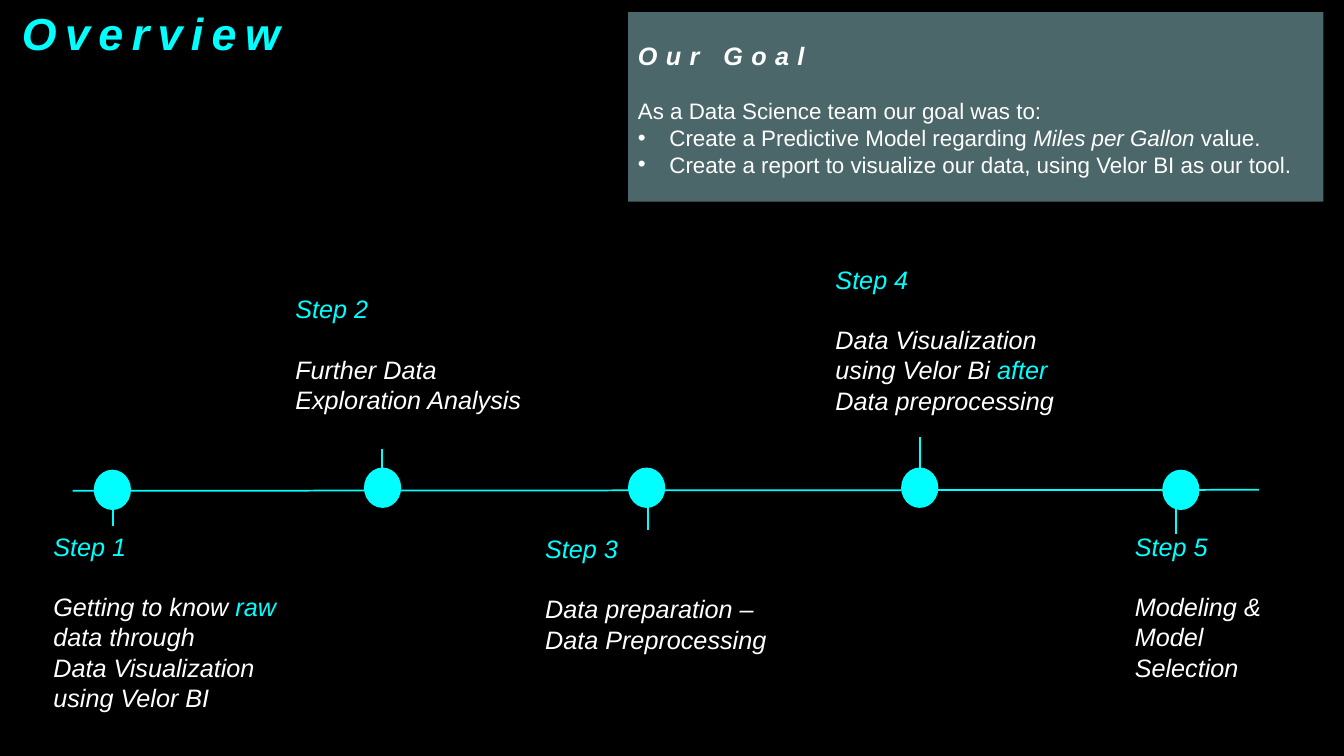
from dataclasses import dataclass

from lxml.etree import SubElement
from pptx import Presentation
from pptx.dml.color import RGBColor
from pptx.enum.shapes import MSO_CONNECTOR, MSO_SHAPE
from pptx.oxml.ns import qn
from pptx.util import Pt

FONT = "Arial"
COLORS = {"back": "000000", "cyan": "00FFFF", "white": "FFFFFF", "panel": "9BD3D9"}
DOT_W, DOT_H, STEM = 26.6, 28.8, 36


@dataclass
class Step:
    """One stop on the timeline; body words between asterisks are cyan."""
    body: list[str]
    box: tuple[float, float, float, float]
    dot: tuple[float, float]
    stem: tuple[float, float]


STEPS = [
    Step(["Getting to know *raw* data through", "Data Visualization using Velor BI"],
         (31, 375.8, 195, 138.2), (67, 335.5), (80.6, 340)),
    Step(["Further Data Exploration Analysis"],
         (203.8, 206, 178.6, 111.6), (260, 334), (272.9, 320.4)),
    Step(["Data preparation – Data Preprocessing"],
         (382.3, 377.3, 195, 94.3), (448.6, 334), (463, 342.7)),
    Step(["Data Visualization using Velor Bi *after* Data preprocessing"],
         (589.7, 185, 195, 116.6), (643.7, 334), (657.4, 312.5)),
    Step(["Modeling & Model Selection"],
         (803.5, 375.8, 114.5, 116.6), (830.2, 335.5), (840.2, 345.6)),
]
GOALS = [
    "Create a Predictive Model regarding *Miles per Gallon* value.",
    "Create a report to visualize our data, using Velor BI as our tool.",
]


def color(name: str) -> RGBColor:
    return RGBColor.from_string(COLORS[name])


def add_line(slide, x1: float, y1: float, x2: float, y2: float) -> None:
    line = slide.shapes.add_connector(
        MSO_CONNECTOR.STRAIGHT, Pt(x1), Pt(y1), Pt(x2), Pt(y2))
    line.line.color.rgb = color("cyan")
    line.line.width = Pt(1.25)
    SubElement(line._element.spPr, qn("a:effectLst"))


def add_solid(slide, kind: MSO_SHAPE, box: tuple, fill: str):
    shape = slide.shapes.add_shape(kind, *map(Pt, box))
    shape.shadow.inherit = False
    shape.fill.solid()
    shape.fill.fore_color.rgb = color(fill)
    shape.line.fill.background()
    return shape


def add_frame(slide, box: tuple):
    frame = slide.shapes.add_textbox(*map(Pt, box)).text_frame
    frame.word_wrap = True
    return frame


def style(run, size: float, name: str, bold: bool = False,
          italic: bool = False, gap: int = 0) -> None:
    """Format a run; gap is the letter spacing in points."""
    font = run.font
    font.name, font.size = FONT, Pt(size)
    font.bold, font.italic = bold, italic
    font.color.rgb = color(name)
    if gap:
        run._r.get_or_add_rPr().set("spc", str(gap * 100))


def add_head(frame, text: str, size: float, name: str,
             bold: bool = False, gap: int = 0) -> None:
    para = frame.paragraphs[0]
    para.text = text
    style(para.runs[0], size, name, bold, True, gap)


def split_runs(para, text: str) -> list:
    """Add runs cut at asterisks and pair each with its marked state."""
    pairs = []
    for i, part in enumerate(text.split("*")):
        run = para.add_run()
        run.text = part
        pairs.append((run, i % 2 == 1))
    return pairs


def add_bullet(para) -> None:
    props = para._p.get_or_add_pPr()
    props.set("marL", str(Pt(22.5)))
    props.set("indent", str(-Pt(22.5)))
    SubElement(props, qn("a:buFont"), typeface=FONT)
    SubElement(props, qn("a:buChar"), char="•")


def add_step(slide, num: int, step: Step) -> None:
    add_solid(slide, MSO_SHAPE.FLOWCHART_CONNECTOR, (*step.dot, DOT_W, DOT_H), "cyan")
    x, y = step.stem
    add_line(slide, x, y, x, y + STEM)
    frame = add_frame(slide, step.box)
    add_head(frame, f"Step {num}", 18, "cyan")
    for i, text in enumerate(step.body):
        para = frame.add_paragraph()
        para.space_before = Pt(0 if i else 21.6)
        for run, marked in split_runs(para, text):
            style(run, 18, "cyan" if marked else "white", italic=True)


def add_goal(slide) -> None:
    panel = add_solid(slide, MSO_SHAPE.RECTANGLE, (448.6, 8.6, 496.8, 135.4), "panel")
    tint = panel.fill._xPr.find(qn("a:solidFill"))[0]
    SubElement(tint, qn("a:alpha"), val="49000")
    frame = add_frame(slide, (448.6, 25.2, 496.8, 106.6))
    add_head(frame, "Our Goal", 18, "white", True, 6)
    intro = frame.add_paragraph()
    intro.text = "As a Data Science team our goal was to:"
    intro.space_before = Pt(19)
    style(intro.runs[0], 16, "white")
    for text in GOALS:
        para = frame.add_paragraph()
        add_bullet(para)
        for run, marked in split_runs(para, text):
            style(run, 16, "white", italic=marked)


def main() -> None:
    deck = Presentation()
    deck.slide_width, deck.slide_height = Pt(960), Pt(540)
    slide = deck.slides.add_slide(deck.slide_layouts[6])
    back = slide.background.fill
    back.solid()
    back.fore_color.rgb = color("back")
    add_line(slide, 51.8, 350.6, 899.3, 349.9)
    for num, step in enumerate(STEPS, 1):
        add_step(slide, num, step)
    add_head(add_frame(slide, (8.6, 0.7, 345.6, 46)), "Overview", 32, "cyan", True, 6)
    add_goal(slide)
    deck.save("out.pptx")


if __name__ == "__main__":
    main()
